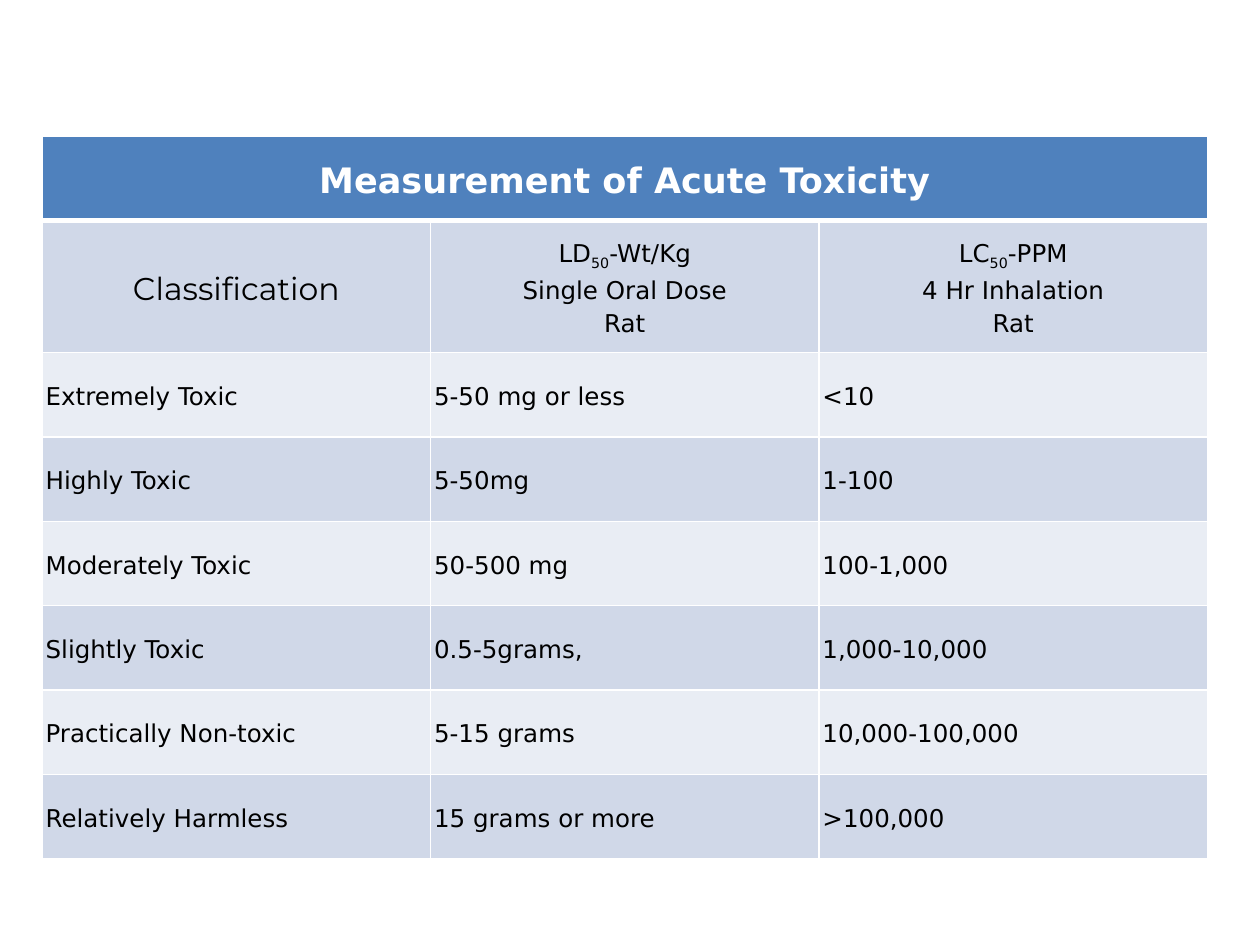
from dataclasses import dataclass

import lxml.etree
import pptx
import pptx.dml.color
import pptx.enum.text
import pptx.oxml.ns
import pptx.table
import pptx.util
from pptx.util import Cm, Pt

ALIGN = pptx.enum.text.PP_ALIGN
BODY_FONT = "DejaVu Sans"
WHITE, BLACK = "FFFFFF", "000000"
HEADER_BLUE, DARK_BAND, LIGHT_BAND = "4F81BD", "D0D8E8", "E9EDF4"
COLUMN_WIDTH = Cm(7.83)
TITLE_HEIGHT, HEADING_HEIGHT, BODY_HEIGHT = Cm(1.7), Cm(2.66), Cm(1.7)


@dataclass(frozen=True)
class TextStyle:
    size: int = 14
    font: str = BODY_FONT
    color: str = BLACK
    bold: bool = False
    align: ALIGN = ALIGN.LEFT


@dataclass(frozen=True)
class DoseHeading:
    symbol: str
    unit: str
    details: tuple[str, ...]


@dataclass(frozen=True)
class ToxicityClass:
    name: str
    oral_dose: str
    inhalation: str


TITLE_STYLE = TextStyle(20, color=WHITE, bold=True, align=ALIGN.CENTER)
CLASS_STYLE = TextStyle(18, font="Montserrat", align=ALIGN.CENTER)
DOSE_STYLE = TextStyle(align=ALIGN.CENTER)
BODY_STYLE = TextStyle()

DOSE_HEADINGS = [
    DoseHeading("LD", "-Wt/Kg", ("Single Oral Dose", "Rat")),
    DoseHeading("LC", "-PPM", ("4 Hr Inhalation", "Rat")),
]
TOXICITY_CLASSES = [
    ToxicityClass("Extremely Toxic", "5-50 mg or less", "<10"),
    ToxicityClass("Highly Toxic", "5-50mg", "1-100"),
    ToxicityClass("Moderately Toxic", "50-500 mg", "100-1,000"),
    ToxicityClass("Slightly Toxic", "0.5-5grams,", "1,000-10,000"),
    ToxicityClass("Practically Non-toxic", "5-15 grams", "10,000-100,000"),
    ToxicityClass("Relatively Harmless", "15 grams or more", ">100,000"),
]


def rgb(color: str) -> pptx.dml.color.RGBColor:
    return pptx.dml.color.RGBColor.from_string(color)


def set_borders(cell: pptx.table._Cell, top: float = 1, bottom: float = 1) -> None:
    """Draw white cell borders; widths are in points."""
    properties = cell._tc.get_or_add_tcPr()
    qn = pptx.oxml.ns.qn
    sides = {"a:lnL": 1, "a:lnR": 1, "a:lnT": top, "a:lnB": bottom}
    for position, (tag, width) in enumerate(sides.items()):
        line = lxml.etree.Element(qn(tag), w=str(Pt(width)))
        fill = lxml.etree.SubElement(line, qn("a:solidFill"))
        lxml.etree.SubElement(fill, qn("a:srgbClr"), val=WHITE)
        properties.insert(position, line)


def format_cell(cell: pptx.table._Cell, fill: str, style: TextStyle):
    """Format a cell and return its paragraph, ready for text."""
    cell.fill.solid()
    cell.fill.fore_color.rgb = rgb(fill)
    cell.vertical_anchor = pptx.enum.text.MSO_ANCHOR.MIDDLE
    cell.margin_left = cell.margin_right = Cm(0.07)
    cell.margin_top = cell.margin_bottom = Cm(0.07)
    para = cell.text_frame.paragraphs[0]
    para.alignment = style.align
    para.line_spacing = 1.15
    para.font.name = style.font
    para.font.size = Pt(style.size)
    para.font.bold = style.bold
    para.font.color.rgb = rgb(style.color)
    return para


def write_dose_heading(para, heading: DoseHeading) -> None:
    para.add_run().text = heading.symbol
    subscript = para.add_run()
    subscript.text = "50"
    subscript.font._element.set("baseline", "-25000")
    para.add_run().text = heading.unit
    for detail in heading.details:
        para.add_line_break()
        para.add_run().text = detail


def add_toxicity_table(page) -> None:
    row_heights = [TITLE_HEIGHT, HEADING_HEIGHT] + [BODY_HEIGHT] * len(TOXICITY_CLASSES)
    table = page.shapes.add_table(
        len(row_heights), 3, Cm(0.85), Cm(2.75), COLUMN_WIDTH * 3, sum(row_heights)
    ).table
    table.first_row = table.horz_banding = False
    for column in table.columns:
        column.width = COLUMN_WIDTH
    for row, height in zip(table.rows, row_heights):
        row.height = height

    table.cell(0, 0).merge(table.cell(0, 2))
    for cell in table.rows[0].cells:
        para = format_cell(cell, HEADER_BLUE, TITLE_STYLE)
        set_borders(cell, bottom=3)
        if cell.is_merge_origin:
            para.add_run().text = "Measurement of Acute Toxicity"

    headings = table.rows[1].cells
    for cell in headings:
        set_borders(cell, top=3)
    format_cell(headings[0], DARK_BAND, CLASS_STYLE).add_run().text = "Classification"
    for column, heading in enumerate(DOSE_HEADINGS, start=1):
        write_dose_heading(format_cell(headings[column], DARK_BAND, DOSE_STYLE), heading)

    for index, entry in enumerate(TOXICITY_CLASSES):
        band = DARK_BAND if index % 2 else LIGHT_BAND
        texts = (entry.name, entry.oral_dose, entry.inhalation)
        for column, text in enumerate(texts):
            cell = table.cell(index + 2, column)
            format_cell(cell, band, BODY_STYLE).add_run().text = text
            set_borders(cell)


def main() -> None:
    deck = pptx.Presentation()
    deck.slide_width, deck.slide_height = Cm(25.4), Cm(19.05)
    page = deck.slides.add_slide(deck.slide_layouts[6])
    add_toxicity_table(page)
    deck.save("out.pptx")


if __name__ == "__main__":
    main()
